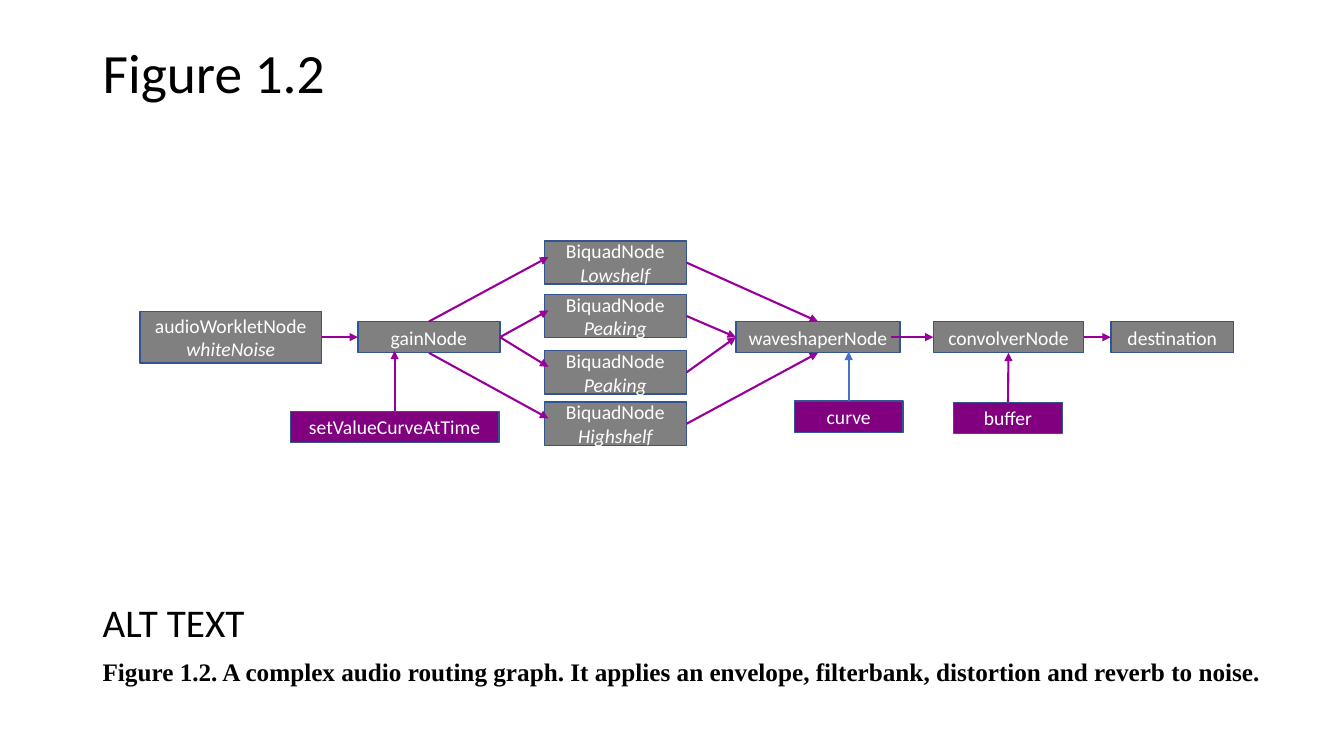
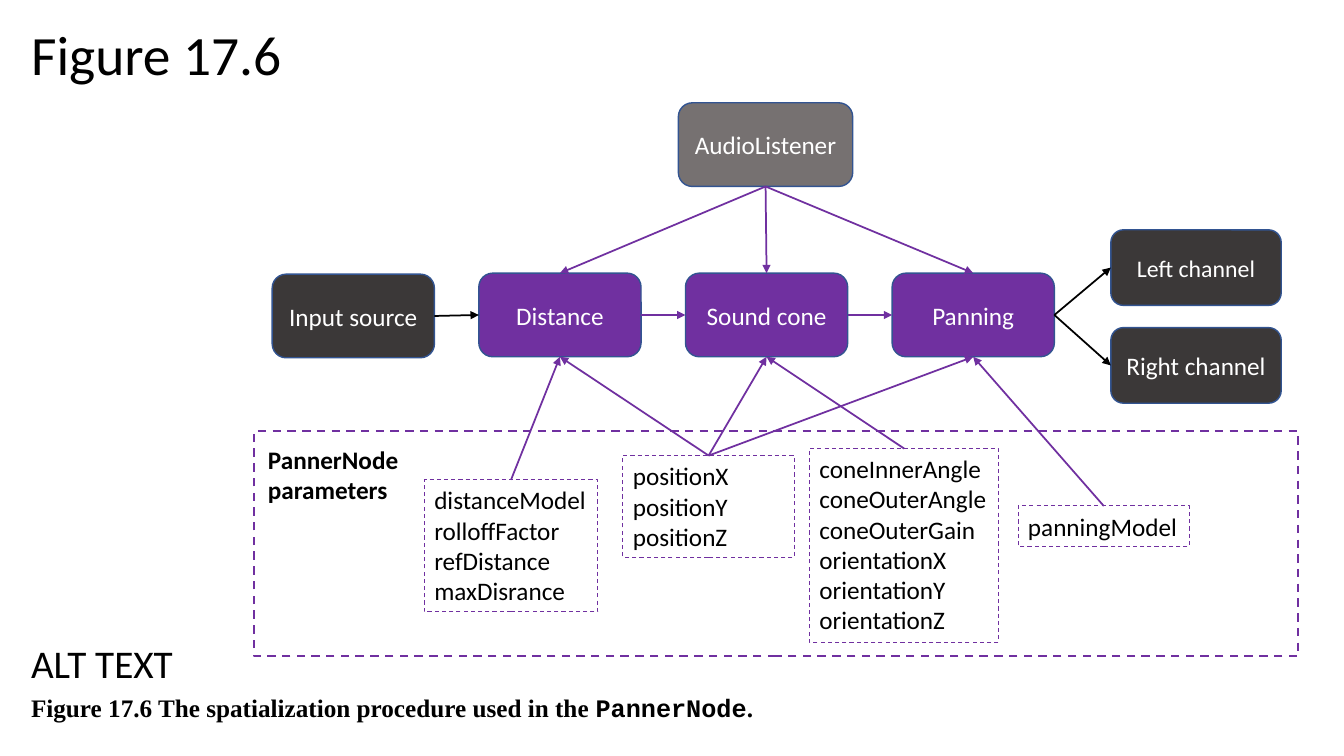
from lxml import etree
from pptx import Presentation
from pptx.dml.color import RGBColor
from pptx.enum.dml import MSO_LINE
from pptx.enum.shapes import MSO_CONNECTOR, MSO_SHAPE
from pptx.enum.text import MSO_ANCHOR, MSO_AUTO_SIZE, PP_ALIGN
from pptx.oxml.ns import qn
from pptx.util import Inches, Pt

RECT, ROUND = MSO_SHAPE.RECTANGLE, MSO_SHAPE.ROUNDED_RECTANGLE
STRAIGHT = MSO_CONNECTOR.STRAIGHT
DASH = MSO_LINE.DASH
MIDDLE, UPPER = MSO_ANCHOR.MIDDLE, MSO_ANCHOR.TOP
GROW = MSO_AUTO_SIZE.SHAPE_TO_FIT_TEXT
START, CENTER, JUSTIFY = PP_ALIGN.LEFT, PP_ALIGN.CENTER, PP_ALIGN.JUSTIFY
TOP, LEFT, BOTTOM, RIGHT = range(4)

COLS, ROWS = 133.33, 75
UNIT = Inches(0.1)

COLORS = {
    "black": "000000",
    "white": "FFFFFF",
    "gray": "808080",
    "stone": "767171",
    "coal": "3B3838",
    "plum": "800080",
    "violet": "7030A0",
    "pink": "990099",
    "blue": "4472C4",
    "edge": "325491",
}

FONTS = {
    "title": {"name": "Calibri", "size": Pt(39.6)},
    "head": {"name": "Calibri", "size": Pt(28)},
    "text": {"name": "Calibri", "size": Pt(18)},
    "tight": {"name": "Calibri", "size": Pt(17)},
    "bold": {"name": "Calibri", "size": Pt(18), "bold": True},
    "node": {"name": "Calibri", "size": Pt(14)},
    "kind": {"name": "Calibri", "size": Pt(14), "italic": True},
    "serif": {"name": "Times New Roman", "size": Pt(18), "bold": True},
    "code": {"name": "Courier New", "size": Pt(18), "bold": True},
}

PLAIN = {"alignment": START}
MID = {"alignment": CENTER}
DENSE = {"line_spacing": 0.9}
CAPTION = {"line_spacing": 0.9, "space_before": Pt(10)}
SPREAD = {"line_spacing": 0.9, "space_before": Pt(6),
          "space_after": Pt(6), "alignment": JUSTIFY}


def apply(item, form):
    for key, value in form.items():
        setattr(item, key, value)


def tint(name):
    return RGBColor.from_string(COLORS[name])


def grid(*sizes):
    return [round(size * UNIT) for size in sizes]


class Deck:
    def __init__(self):
        self.file = Presentation()
        apply(self.file, {"slide_width": round(COLS * UNIT),
                          "slide_height": round(ROWS * UNIT)})

    def start(self, title, title_at, note_at, form, runs):
        self.slide = self.file.slides.add_slide(self.file.slide_layouts[6])
        self.shapes = self.slide.shapes
        self.label(title_at, [(DENSE, [(title, "title")])], MIDDLE)
        self.label(note_at, [(DENSE, [("ALT TEXT", "head")]), (form, runs)])

    def letter(self, frame, lines, ink):
        for index, (form, runs) in enumerate(lines):
            para = frame.add_paragraph() if index else frame.paragraphs[0]
            apply(para, form)
            for text, font in runs:
                run = para.add_run()
                run.text = text
                apply(run.font, FONTS[font])
                run.font.color.rgb = tint(ink)

    def label(self, place, lines, anchor=UPPER):
        frame = self.shapes.add_textbox(*grid(*place)).text_frame
        apply(frame, {"word_wrap": True, "vertical_anchor": anchor})
        self.letter(frame, lines, "black")

    def shape(self, kind, place, fill, edge, width):
        shape = self.shapes.add_shape(kind, *grid(*place))
        shape.shadow.inherit = False
        if fill:
            shape.fill.solid()
            shape.fill.fore_color.rgb = tint(fill)
        else:
            shape.fill.background()
        shape.line.color.rgb = tint(edge)
        shape.line.width = Pt(width)
        return shape

    def box(self, place, fill, *runs, kind=RECT):
        shape = self.shape(kind, place, fill, "edge", 1)
        apply(shape.text_frame, {"word_wrap": True, "vertical_anchor": MIDDLE})
        self.letter(shape.text_frame, [(MID, [run]) for run in runs], "white")
        return shape

    def frame(self, place, width, names=(), wrap=False):
        shape = self.shape(RECT, place, None, "violet", width)
        shape.line.dash_style = DASH
        if names:
            apply(shape.text_frame, {"word_wrap": wrap, "auto_size": GROW,
                                     "vertical_anchor": UPPER})
            lines = [(PLAIN, [(name, "text")]) for name in names]
            self.letter(shape.text_frame, lines, "black")
        return shape

    def arrow(self, start, end, color, width):
        line = self.shapes.add_connector(STRAIGHT, 0, 0, 0, 0)
        ends = (("begin", start, line.begin_connect),
                ("end", end, line.end_connect))
        for name, (first, second), join in ends:
            if hasattr(first, "shape_id"):
                join(first, second)
            else:
                left, top = grid(first, second)
                apply(line, {name + "_x": left, name + "_y": top})
        line.line.color.rgb = tint(color)
        line.line.width = Pt(width)
        shell = line._element.spPr
        etree.SubElement(shell.find(qn("a:ln")), qn("a:tailEnd"), type="triangle")
        etree.SubElement(shell, qn("a:effectLst"))


def routing(deck):
    deck.start("Figure 1.2", (9.2, 4, 114.6, 7), (9.2, 59.4, 119.4, 11.6), CAPTION,
               [("Figure 1.2. A complex audio routing graph. It applies an envelope, "
                 "filterbank, distortion and reverb to noise.", "serif")])
    nodes = {}
    for name, left, top, width, fill in (
        ("gainNode", 35.5, 31.9, 14.1, "gray"),
        ("waveshaperNode", 73, 31.9, 16.3, "gray"),
        ("convolverNode", 92.6, 31.9, 14.9, "gray"),
        ("destination", 110.2, 31.9, 12.2, "gray"),
        ("setValueCurveAtTime", 28.8, 40.8, 20.7, "plum"),
        ("curve", 78.8, 39.8, 10.8, "plum"),
        ("buffer", 94.6, 39.9, 10.8, "plum"),
    ):
        nodes[name] = deck.box((left, top, width, 3.1), fill, (name, "node"))
    noise = deck.box((13.9, 30.9, 18, 5.1), "gray",
                     ("audioWorkletNode", "node"), ("whiteNoise", "kind"))
    gain, wave = nodes["gainNode"], nodes["waveshaperNode"]
    room = nodes["convolverNode"]

    links = [
        ((noise, RIGHT), (gain, LEFT), "pink"),
        ((88.4, 33.45), (room, LEFT), "pink"),
        ((room, RIGHT), (nodes["destination"], LEFT), "pink"),
        ((nodes["setValueCurveAtTime"], TOP), (39.15, 34.8), "pink"),
        ((nodes["curve"], TOP), (84.2, 34.9), "blue"),
        ((nodes["buffer"], TOP), (room, BOTTOM), "pink"),
    ]
    for kind, top, leave, enter in (
        ("Lowshelf", 23.9, TOP, TOP),
        ("Peaking", 29.2, RIGHT, LEFT),
        ("Peaking", 34.8, RIGHT, LEFT),
        ("Highshelf", 39.9, BOTTOM, BOTTOM),
    ):
        band = deck.box((54, top, 14.1, 4.3), "gray",
                        ("BiquadNode", "node"), (kind, "kind"))
        links += [((gain, leave), (54.4, top + 1.6), "pink"),
                  ((band, RIGHT), (wave, enter), "pink")]
    for start, end, color in links:
        deck.arrow(start, end, color, 1.5)


def panner(deck):
    deck.start("Figure 17.6", (2.1, 2.2, 28.9, 7), (2.1, 63.5, 119.4, 11.6), SPREAD,
               [("Figure 17.6 The spatialization procedure used in the ", "serif"),
                ("PannerNode", "code"), (".", "serif")])

    def block(place, fill, text, font="text"):
        return deck.box(place, fill, (text, font), kind=ROUND)

    ear = block((67.3, 10.2, 17.3, 8.3), "stone", "AudioListener")
    source = block((27, 27.2, 16.1, 8.3), "coal", "Input source")
    steps = [block((47.5 + 20.5 * index, 27.1, 16.1, 8.3), "violet", name)
             for index, name in enumerate(("Distance", "Sound cone", "Panning"))]
    sides = [block((110.2, top, 16.9, 7.5), "coal", name, font)
             for name, top, font in (("Left channel", 22.8, "tight"),
                                     ("Right channel", 32.5, "text"))]

    deck.frame((25.2, 42.8, 103.6, 22.3), 1.5)
    deck.label((25.6, 43.6, 21.9, 7.1),
               [(PLAIN, [("PannerNode parameters", "bold")])])

    links = [((source, RIGHT), (steps[0], LEFT), "black")]
    links += [((steps[-1], RIGHT), (side, LEFT), "black") for side in sides]
    links += [((left, RIGHT), (right, LEFT), "violet")
              for left, right in zip(steps, steps[1:])]
    links += [((ear, BOTTOM), (step, TOP), "violet") for step in steps]
    for place, names, goals, wrap in (
        ((42.1, 47.6, 17.2, 13.1),
         ("distanceModel", "rolloffFactor", "refDistance", "maxDisrance"),
         steps[:1], False),
        ((61.8, 45.2, 17, 10.1),
         ("positionX", "positionY", "positionZ"), steps, True),
        ((80.3, 44.5, 18.8, 19.2),
         ("coneInnerAngle", "coneOuterAngle", "coneOuterGain",
          "orientationX", "orientationY", "orientationZ"), steps[1:2], False),
        ((101, 50.2, 17, 4), ("panningModel",), steps[2:], False),
    ):
        group = deck.frame(place, 0.75, names, wrap)
        links += [((group, TOP), (goal, BOTTOM), "violet") for goal in goals]
    for start, end, color in links:
        deck.arrow(start, end, color, 1.25)


def main():
    deck = Deck()
    routing(deck)
    panner(deck)
    deck.file.save("out.pptx")


if __name__ == "__main__":
    main()
